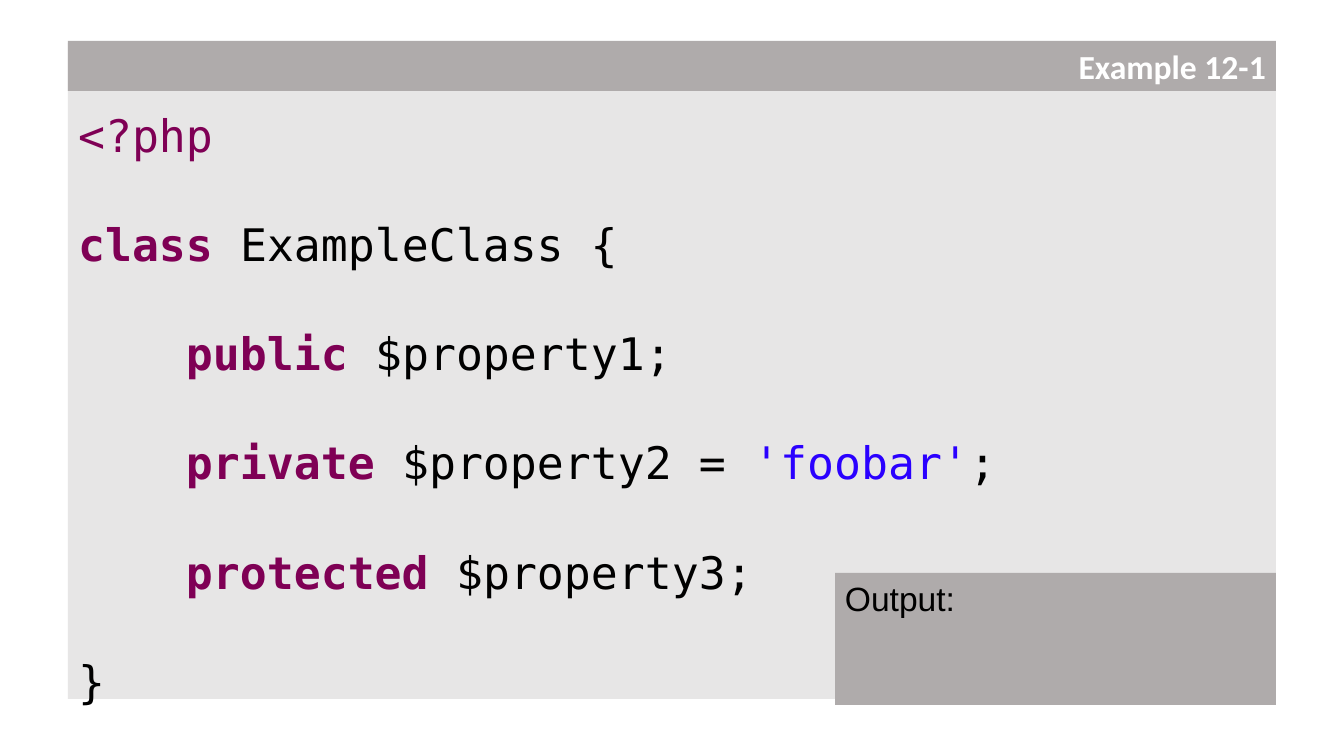
from dataclasses import dataclass

from lxml.etree import SubElement
from pptx import Presentation
from pptx.dml.color import RGBColor
from pptx.enum.shapes import MSO_SHAPE
from pptx.enum.text import MSO_ANCHOR, MSO_AUTO_SIZE, PP_ALIGN
from pptx.oxml.ns import qn
from pptx.util import Pt

EMU_PER_PX = 914400 / 100.8
SLIDE_SIZE = (1344, 756)


@dataclass(frozen=True)
class Theme:
    panel: str = "E7E6E6"
    bar: str = "AFABAB"
    keyword: str = "7F0055"
    string: str = "2A00FF"
    plain: str = "000000"
    heading: str = "FFFFFF"
    code_font: str = "DejaVu Sans Mono"
    heading_font: str = "Calibri"
    output_font: str = "Arial"
    code_size: int = 32
    label_size: int = 24
    code_gap: float = 39.5


THEME = Theme()
OPENING = (THEME.keyword, False)
KEYWORD = (THEME.keyword, True)
PLAIN = (THEME.plain, False)
STRING = (THEME.string, False)

CODE_LINES = [
    [("<?php", OPENING)],
    [("class", KEYWORD), (" ExampleClass {", PLAIN)],
    [("    public", KEYWORD), (" $property1;", PLAIN)],
    [("    private", KEYWORD), (" $property2 = ", PLAIN), ("'foobar'", STRING), (";", PLAIN)],
    [("    protected", KEYWORD), (" $property3;", PLAIN)],
    [("}", PLAIN)],
]


def px(length):
    return round(length * EMU_PER_PX)


class CodeSlide:
    def __init__(self, deck, theme):
        self.theme = theme
        self.slide = deck.slides.add_slide(deck.slide_layouts[1])

    def place(self, box, bounds, color, anchor):
        box.left, box.top, box.width, box.height = map(px, bounds)
        box.fill.solid()
        box.fill.fore_color.rgb = RGBColor.from_string(color)
        box.line.fill.background()
        frame = box.text_frame
        frame.word_wrap = True
        frame.auto_size = MSO_AUTO_SIZE.NONE
        frame.vertical_anchor = anchor
        return frame

    def style(self, span, font, size, color, bold=False):
        span.font.name = font
        span.font.size = Pt(size)
        span.font.bold = bold
        span.font.color.rgb = RGBColor.from_string(color)

    def code(self, lines, bounds, top_inset):
        theme = self.theme
        body = self.slide.placeholders[1]
        frame = self.place(body, bounds, theme.panel, MSO_ANCHOR.TOP)
        frame.margin_top = px(top_inset)
        for index, line in enumerate(lines):
            para = frame.paragraphs[0] if index == 0 else frame.add_paragraph()
            properties = para._p.get_or_add_pPr()
            properties.set("marL", "0")
            properties.set("indent", "0")
            SubElement(properties, qn("a:buNone"))
            para.space_before = Pt(theme.code_gap if index else 0)
            for text, (color, bold) in line:
                span = para.add_run()
                span.text = text
                self.style(span, theme.code_font, theme.code_size, color, bold)

    def output(self, text, bounds):
        theme = self.theme
        box = self.slide.shapes.add_shape(MSO_SHAPE.RECTANGLE, *map(px, bounds))
        box.shadow.inherit = False
        frame = self.place(box, bounds, theme.bar, MSO_ANCHOR.TOP)
        frame.text = text
        para = frame.paragraphs[0]
        para.alignment = PP_ALIGN.LEFT
        self.style(para.runs[0], theme.output_font, theme.label_size, theme.plain)

    def title(self, text, bounds):
        theme = self.theme
        title = self.slide.shapes.title
        frame = self.place(title, bounds, theme.bar, MSO_ANCHOR.MIDDLE)
        frame.text = text
        para = frame.paragraphs[0]
        para.alignment = PP_ALIGN.RIGHT
        self.style(para.runs[0], theme.heading_font, theme.label_size, theme.heading, True)
        title.element.getparent().append(title.element)


def main():
    deck = Presentation()
    deck.slide_width, deck.slide_height = map(px, SLIDE_SIZE)
    page = CodeSlide(deck, THEME)
    page.code(CODE_LINES, (68, 43, 1208, 656), top_inset=65)
    page.output("Output:", (835, 573, 441, 132))
    page.title("Example 12-1", (68, 41, 1208, 50))
    deck.save("out.pptx")


if __name__ == "__main__":
    main()
